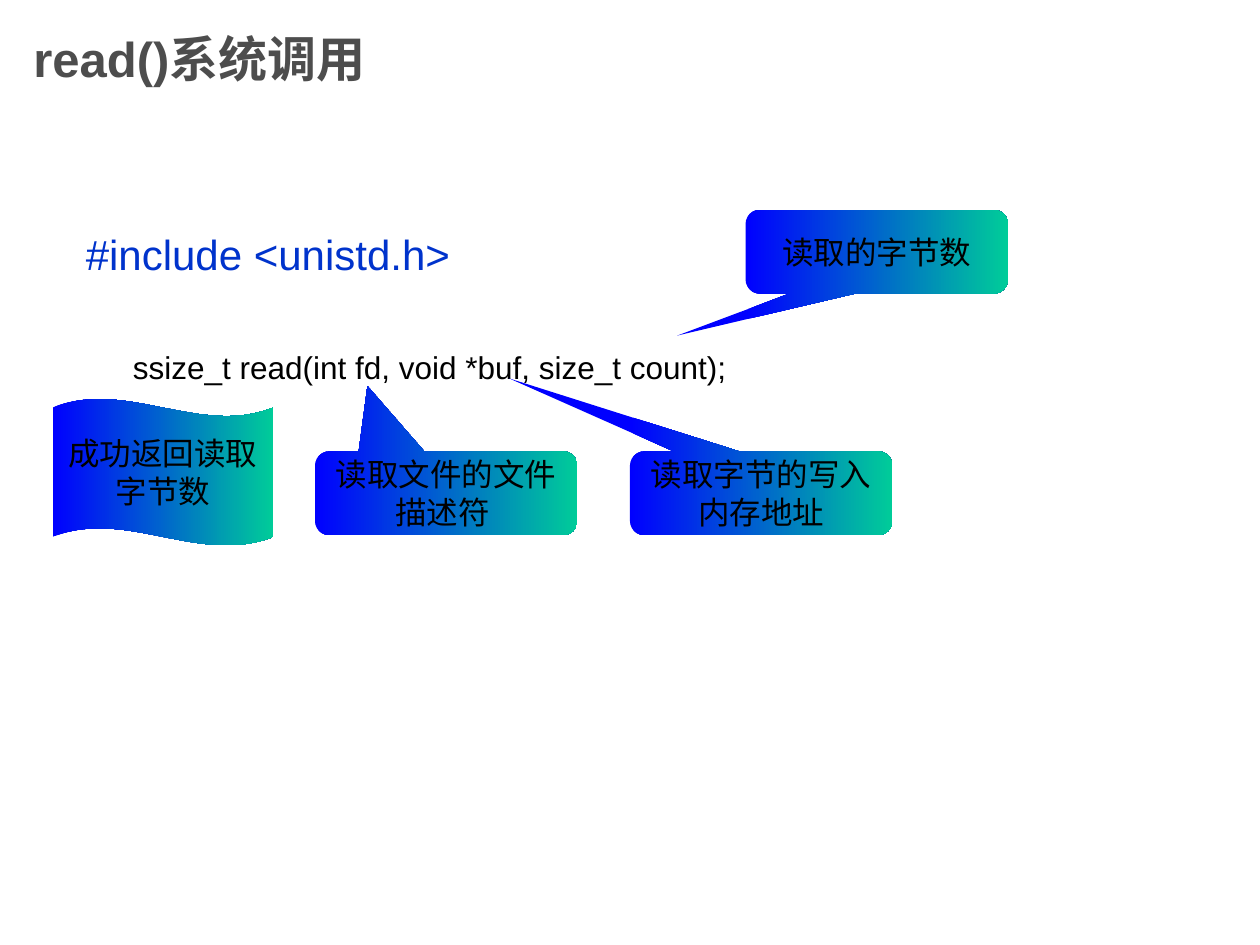
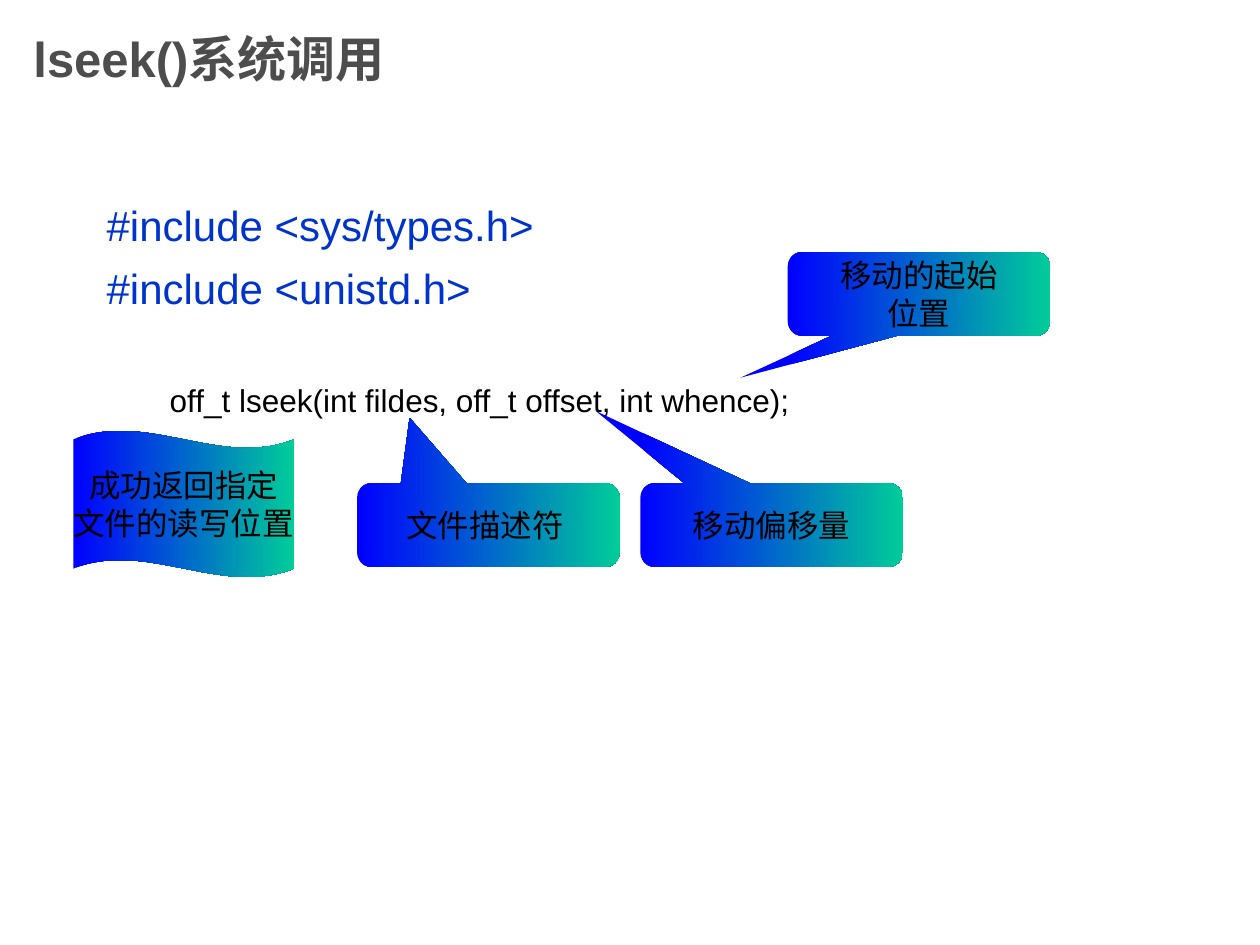
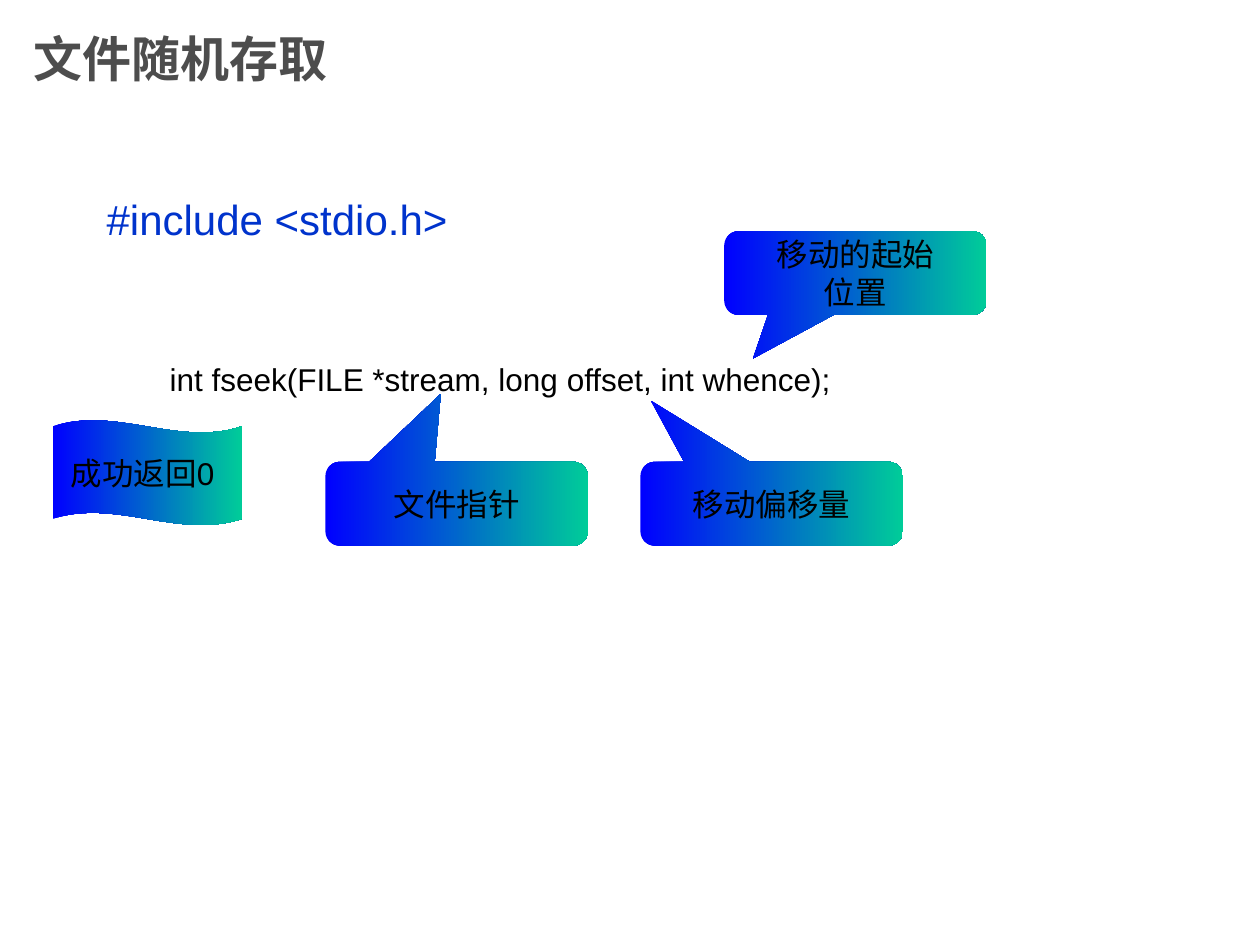
from dataclasses import dataclass

from pptx import Presentation
from pptx import util as u
from pptx.dml.color import RGBColor
from pptx.enum import shapes, text

COLORS = {
    "title": "4D4D4D",
    "include": "0033CC",
    "ink": "000000",
    "gradient_start": "0000FF",
    "gradient_end": "00CC99",
}
FONT = "Arial"
TITLE_ONLY = 5
CALLOUT_SIZE = (5.29, 1.69)
DECLARATION_SIZE = (21.59, 5)


@dataclass
class Note:
    """A note placed relative to the declaration, in cm."""
    lines: list
    left: float
    top: float
    size: tuple = CALLOUT_SIZE
    tip: tuple = (0, 0)  # pointer offset from the centre, in box sizes


@dataclass
class SystemCall:
    title: str
    origin: tuple  # left and top of the declaration, in cm
    includes: list
    prototype: str
    prototype_gap: float  # points above the prototype
    prototype_indent: float  # cm
    result: Note
    arguments: list


CALLS = [
    SystemCall(
        "read()系统调用", (1.48, 4.49), ["#include <unistd.h>"],
        "ssize_t read(int fd, void *buf, size_t count);", 39.5, 0.95,
        Note(["成功返回读取", "字节数"], -0.42, 3.55, (4.45, 2.96)),
        [
            Note(["读取文件的文件描述符 "], 4.87, 4.61, tip=(-0.3, -1.28)),
            Note(["读取字节的写入内存地址"], 11.22, 4.61, tip=(-0.96, -1.37)),
            Note(["读取的字节数"], 13.55, -0.26, tip=(-0.76, 1)),
        ],
    ),
    SystemCall(
        "lseek()系统调用", (1.9, 3.9),
        ["#include <sys/types.h>", "#include <unistd.h>"],
        "off_t lseek(int fildes, off_t offset, int whence);", 39, 1.27,
        Note(["成功返回指定", "文件的读写位置"], -0.42, 4.78, (4.45, 2.96)),
        [
            Note(["文件描述符 "], 5.3, 5.84, tip=(-0.3, -1.28)),
            Note(["移动偏移量"], 11.01, 5.84, tip=(-0.67, -1.36)),
            Note(["移动的起始", "位置"], 13.98, 1.18, tip=(-0.68, 1)),
        ],
    ),
    SystemCall(
        "文件随机存取", (1.9, 3.78), ["#include <stdio.h>"],
        "int fseek(FILE *stream, long offset, int whence);", 66.5, 1.27,
        Note(["成功返回0 "], -0.84, 4.69, (3.81, 2.12)),
        [
            Note(["文件指针"], 4.66, 5.53, tip=(-0.06, -1.31)),
            Note(["移动偏移量"], 11.01, 5.53, tip=(-0.46, -1.23)),
            Note(["移动的起始", "位置"], 12.7, 0.88, tip=(-0.39, 1.02)),
        ],
    ),
]


def color(name):
    return RGBColor.from_string(COLORS[name])


def style(paragraph, size, color_name, bold=False):
    font = paragraph.font
    font.name, font.size, font.bold = FONT, u.Pt(size), bold
    font.color.rgb = color(color_name)


def write_lines(frame, lines):
    """Write one paragraph per line and return the paragraphs."""
    frame.text = "\n".join(lines)
    return frame.paragraphs


def add_title(slide, wording):
    title = slide.shapes.title
    title.left, title.top = u.Cm(0.42), u.Cm(0)
    title.width, title.height = u.Cm(19.05), u.Cm(2.33)
    title.text_frame.vertical_anchor = text.MSO_ANCHOR.MIDDLE
    heading, = write_lines(title.text_frame, [wording])
    heading.alignment = text.PP_ALIGN.LEFT
    style(heading, 28, "title", bold=True)


def add_declaration(slide, call):
    box = [u.Cm(n) for n in call.origin + DECLARATION_SIZE]
    frame = slide.shapes.add_textbox(*box).text_frame
    frame.word_wrap = True
    *includes, prototype = write_lines(frame, call.includes + [call.prototype])
    for include in includes:
        style(include, 24, "include")
    for include in includes[1:]:
        include.space_before = u.Pt(7)
    style(prototype, 18, "ink")
    prototype.space_before = u.Pt(call.prototype_gap)
    indent = u.Cm(call.prototype_indent)
    prototype._p.get_or_add_pPr().set("marL", str(int(indent)))


def add_note(slide, origin, note, preset, adjustments, wrap):
    left, top = origin[0] + note.left, origin[1] + note.top
    box = [u.Cm(n) for n in (left, top, *note.size)]
    shape = slide.shapes.add_shape(preset, *box)
    for index, value in enumerate(adjustments):
        shape.adjustments[index] = value
    shape.shadow.inherit = False
    shape.line.fill.background()

    # Left-to-right gradient
    shape.fill.gradient()
    shape.fill.gradient_angle = 0
    ends = ("gradient_start", "gradient_end")
    for position, (stop, name) in enumerate(zip(shape.fill.gradient_stops, ends)):
        stop.position = position
        stop.color.rgb = color(name)

    frame = shape.text_frame
    frame.word_wrap = wrap
    frame.vertical_anchor = text.MSO_ANCHOR.MIDDLE
    for paragraph in write_lines(frame, note.lines):
        paragraph.alignment = text.PP_ALIGN.CENTER
        style(paragraph, 18, "ink")


def add_call_slide(deck, call):
    slide = deck.slides.add_slide(deck.slide_layouts[TITLE_ONLY])
    add_title(slide, call.title)
    add_declaration(slide, call)
    # Return value
    add_note(slide, call.origin, call.result,
             shapes.MSO_SHAPE.WAVE, (0.06, 0), wrap=False)
    # Arguments
    for argument in call.arguments:
        add_note(slide, call.origin, argument,
                 shapes.MSO_SHAPE.ROUNDED_RECTANGULAR_CALLOUT,
                 (*argument.tip, 0.17), wrap=True)


def main():
    deck = Presentation()
    deck.slide_width, deck.slide_height = u.Cm(25.4), u.Cm(19.05)
    for call in CALLS:
        add_call_slide(deck, call)
    deck.save("out.pptx")


if __name__ == "__main__":
    main()
